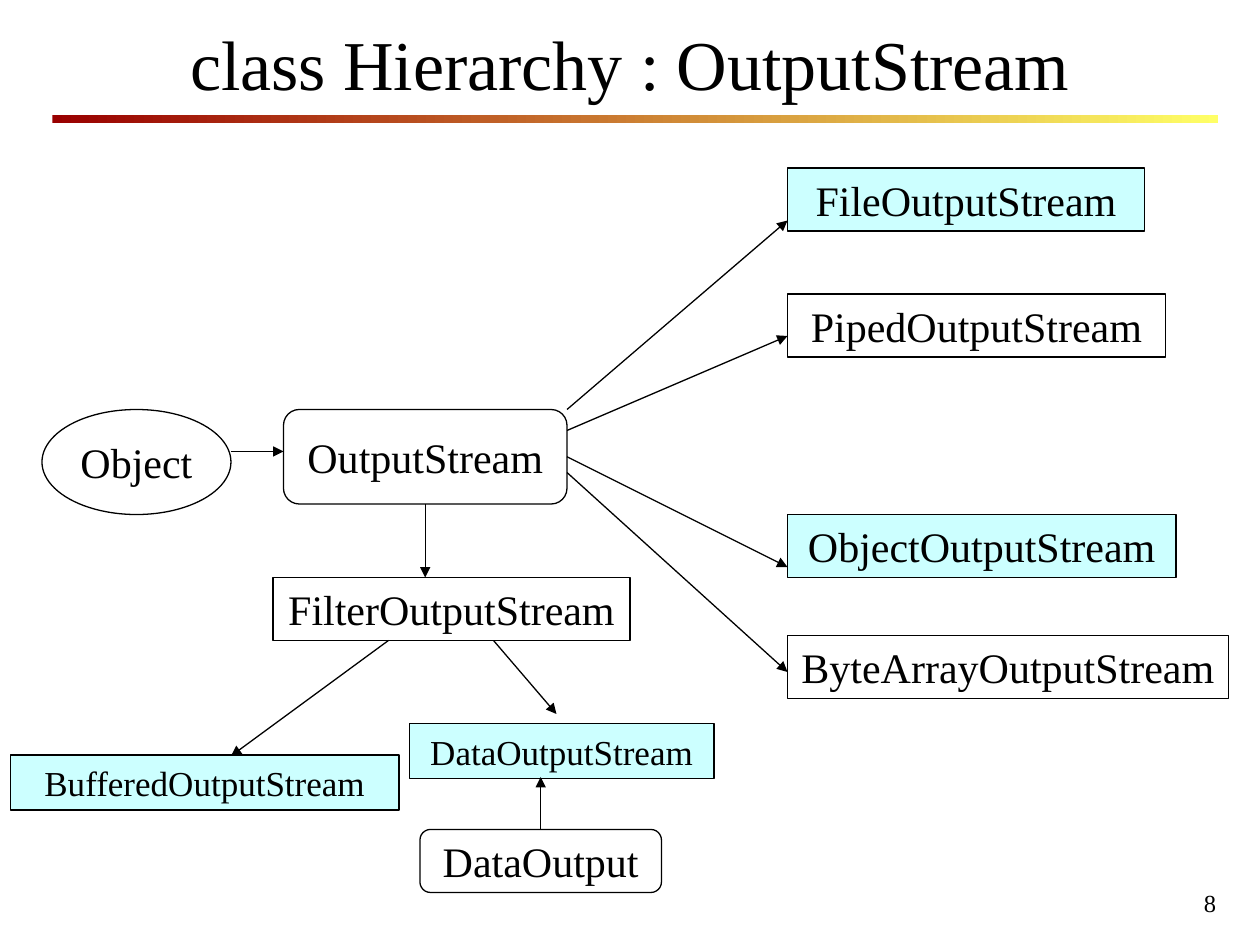
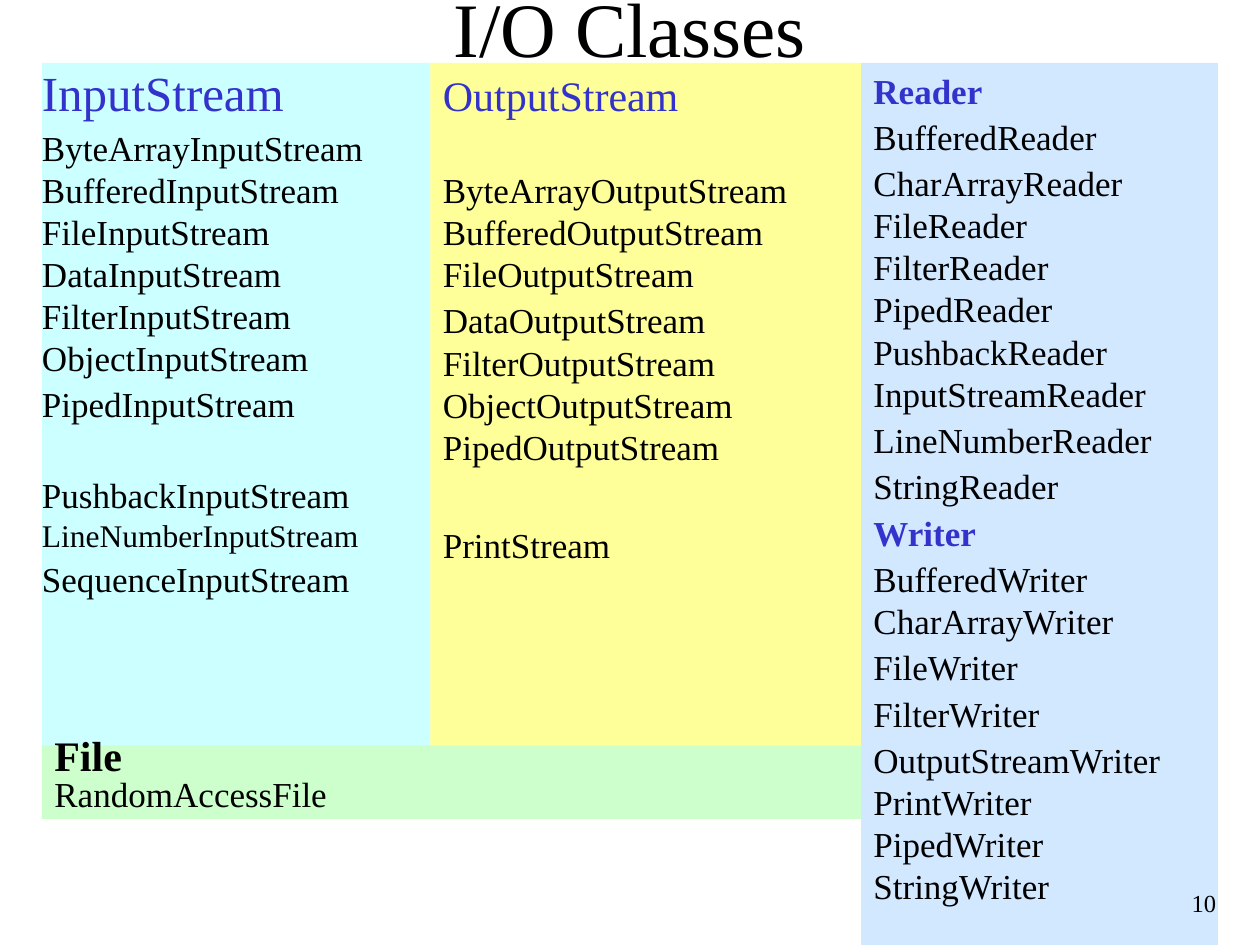
from dataclasses import dataclass

from lxml import etree
from pptx import Presentation
from pptx.dml.color import RGBColor
from pptx.enum.shapes import MSO_CONNECTOR, MSO_SHAPE
from pptx.enum.text import MSO_ANCHOR, MSO_AUTO_SIZE, PP_ALIGN
from pptx.oxml.ns import qn
from pptx.util import Inches, Pt

RECT, ROUNDED, OVAL = MSO_SHAPE.RECTANGLE, MSO_SHAPE.ROUNDED_RECTANGLE, MSO_SHAPE.OVAL
STRAIGHT = MSO_CONNECTOR.STRAIGHT
LEFT, CENTER, RIGHT = PP_ALIGN.LEFT, PP_ALIGN.CENTER, PP_ALIGN.RIGHT
TOP, MIDDLE = MSO_ANCHOR.TOP, MSO_ANCHOR.MIDDLE
SIDE_TOP, SIDE_BOTTOM, SIDE_RIGHT = 0, 2, 3
TITLE_ONLY = 5


@dataclass(frozen=True)
class Theme:
    font: str = "Times New Roman"
    ink: RGBColor = RGBColor(0, 0, 0)
    heading: RGBColor = RGBColor.from_string("3333CC")
    aqua: RGBColor = RGBColor.from_string("CCFFFF")
    yellow: RGBColor = RGBColor.from_string("FFFF99")
    blue: RGBColor = RGBColor.from_string("99CCFF")
    green: RGBColor = RGBColor.from_string("CCFFCC")
    band_start: RGBColor = RGBColor.from_string("990000")
    band_end: RGBColor = RGBColor.from_string("FFFF66")
    rule: float = 0.75
    lead: int = 28
    large: int = 24
    normal: int = 20
    compact: int = 18
    page: int = 14


THEME = Theme()

deck = Presentation()
deck.slide_width, deck.slide_height = Inches(10), Inches(7.5)
CELL = deck.slide_width / 120  # the slide is a grid of 120 columns by 90 rows


def write(paragraph, text, size, align=LEFT, color=THEME.ink, bold=False):
    paragraph.text = text
    paragraph.alignment = align
    for run in paragraph.runs:
        run.font.name, run.font.size, run.font.bold = THEME.font, Pt(size), bold
        run.font.color.rgb = color


def add_panel(slide, kind, cells, fill=None, outlined=False):
    """Add a shape at left, top, width, height given in grid cells."""
    panel = slide.shapes.add_shape(kind, *(round(cell * CELL) for cell in cells))
    panel.shadow.inherit = False
    if fill is None:
        panel.fill.background()
    else:
        panel.fill.solid()
        panel.fill.fore_color.rgb = fill
    if outlined:
        panel.line.color.rgb = THEME.ink
        panel.line.width = Pt(THEME.rule)
    else:
        panel.line.fill.background()
    return panel


# Slides and titles
titles = [
    ("class Hierarchy : OutputStream", 40, (5, 3, 110, 6)),
    ("I/O Classes", 44, (6, 0, 108, 5)),
]
for text, size, cells in titles:
    title = deck.slides.add_slide(deck.slide_layouts[TITLE_ONLY]).shapes.title
    title.left, title.top, title.width, title.height = (round(cell * CELL) for cell in cells)
    title.text_frame.auto_size = MSO_AUTO_SIZE.NONE
    title.text_frame.vertical_anchor = MIDDLE
    write(title.text_frame.paragraphs[0], text, size, CENTER)
hierarchy, overview = deck.slides

# Class hierarchy
band = add_panel(hierarchy, RECT, (5, 11, 111, 0.75))
band.fill.gradient()
band.fill.gradient_angle = 0
for stop, color in zip(band.fill.gradient_stops, (THEME.band_start, THEME.band_end)):
    stop.color.rgb = color

classes = [
    ("Object", OVAL, (4, 39, 18, 10), None, THEME.large),
    ("OutputStream", ROUNDED, (27, 39, 27, 9), None, THEME.large),
    ("FileOutputStream", RECT, (75, 16, 34, 6), THEME.aqua, THEME.large),
    ("BufferedOutputStream", RECT, (1, 71.9, 37, 5.25), THEME.aqua, THEME.normal),
    ("FilterOutputStream", RECT, (26, 55, 34, 6), None, THEME.large),
    ("DataOutputStream", RECT, (39, 68.9, 29, 5.25), THEME.aqua, THEME.normal),
    ("PipedOutputStream", RECT, (75, 28, 36, 6), None, THEME.large),
    ("ObjectOutputStream", RECT, (75, 49, 37, 6), THEME.aqua, THEME.large),
    ("DataOutput", ROUNDED, (40, 79, 23, 6), None, THEME.large),
    ("ByteArrayOutputStream", RECT, (75, 60.5, 42, 6), None, THEME.large),
]
nodes = {}
for name, kind, cells, fill, size in classes:
    node = nodes[name] = add_panel(hierarchy, kind, cells, fill, outlined=True)
    node.text_frame.word_wrap = False
    node.text_frame.vertical_anchor = MIDDLE
    write(node.text_frame.paragraphs[0], name, size, CENTER)

# Start, end, and the class and side the start is joined to
arrows = [
    ((54, 45), (75, 64), None),
    ((54, 43.5), (75, 54), ("OutputStream", SIDE_RIGHT)),
    ((40.5, 48), (40.5, 55), ("OutputStream", SIDE_BOTTOM)),
    ((47, 61), (53, 68), None),
    ((37, 61), (22, 72), None),
    ((51.5, 79), (51.5, 74), ("DataOutput", SIDE_TOP)),
    ((54, 41), (75, 32), None),
    ((54, 39), (75, 21), None),
    ((22, 43), (27, 43), None),
]
for start, end, joint in arrows:
    arrow = hierarchy.shapes.add_connector(
        STRAIGHT, *(round(cell * CELL) for cell in start + end))
    if joint:
        arrow.begin_connect(nodes[joint[0]], joint[1])
    arrow.line.color.rgb = THEME.ink
    arrow.line.width = Pt(THEME.rule)
    etree.SubElement(arrow.line._get_or_add_ln(), qn("a:tailEnd"), type="triangle")
    etree.SubElement(arrow._element.spPr, qn("a:effectLst"))

# Overview of the I/O classes: each paragraph is text, size, space before, heading
GAP, SKIP = 2.5, 28
input_streams = [
    ("InputStream", THEME.lead, 3.5, True),
    ("ByteArrayInputStream BufferedInputStream\nFileInputStream\nDataInputStream\n"
     "FilterInputStream\nObjectInputStream", THEME.normal, GAP, False),
    ("PipedInputStream", THEME.normal, GAP, False),
    ("PushbackInputStream", THEME.normal, SKIP, False),
    ("LineNumberInputStream", THEME.compact, 0, False),
    ("SequenceInputStream", THEME.normal, GAP, False),
]
output_streams = [
    ("OutputStream", THEME.large, 3, True),
    ("ByteArrayOutputStream BufferedOutputStream\nFileOutputStream",
     THEME.normal, SKIP, False),
    ("DataOutputStream\nFilterOutputStream\nObjectOutputStream\nPipedOutputStream",
     THEME.normal, GAP, False),
    ("PrintStream", THEME.normal, SKIP + 4, False),
]
readers_and_writers = [
    (text, THEME.normal, GAP, text in ("Reader", "Writer"))
    for text in (
        "Reader", "BufferedReader",
        "CharArrayReader\nFileReader\nFilterReader\nPipedReader PushbackReader\n"
        "InputStreamReader",
        "LineNumberReader", "StringReader",
        "Writer", "BufferedWriter CharArrayWriter", "FileWriter", "FilterWriter",
        "OutputStreamWriter PrintWriter\nPipedWriter\nStringWriter",
    )
]
files = [("File", THEME.large, 3, False), ("RandomAccessFile", THEME.normal, 5, False)]

families = [
    (input_streams, (4, 6, 37, 66), THEME.aqua),
    (output_streams, (41, 6, 41, 65), THEME.yellow),
    (readers_and_writers, (82, 6, 34, 84), THEME.blue),
    (files, (4, 71, 78, 7), THEME.green),
]
for entries, cells, fill in families:
    family = add_panel(overview, RECT, cells, fill)
    frame = family.text_frame
    frame.word_wrap = True
    frame.vertical_anchor = TOP
    if entries is input_streams:
        frame.margin_left = frame.margin_top = frame.margin_right = frame.margin_bottom = 0
    if entries is readers_and_writers:
        tint = family._element.spPr.find(qn("a:solidFill"))[0]
        etree.SubElement(tint, qn("a:alpha"), val="44000")
    for index, (text, size, before, is_heading) in enumerate(entries):
        entry = frame.add_paragraph() if index else frame.paragraphs[0]
        bold = text in ("Reader", "Writer", "File")
        write(entry, text, size, LEFT, THEME.heading if is_heading else THEME.ink, bold)
        entry.space_before = Pt(before)
        if entries is files:
            entry.line_spacing = 0.5
            entry.space_after = Pt(3)

# Page numbers
for slide, number in ((hierarchy, "8"), (overview, "10")):
    page = slide.shapes.add_textbox(*(round(cell * CELL) for cell in (107, 84, 10, 4)))
    page.text_frame.word_wrap = True
    write(page.text_frame.paragraphs[0], number, THEME.page, RIGHT)

deck.save("out.pptx")
